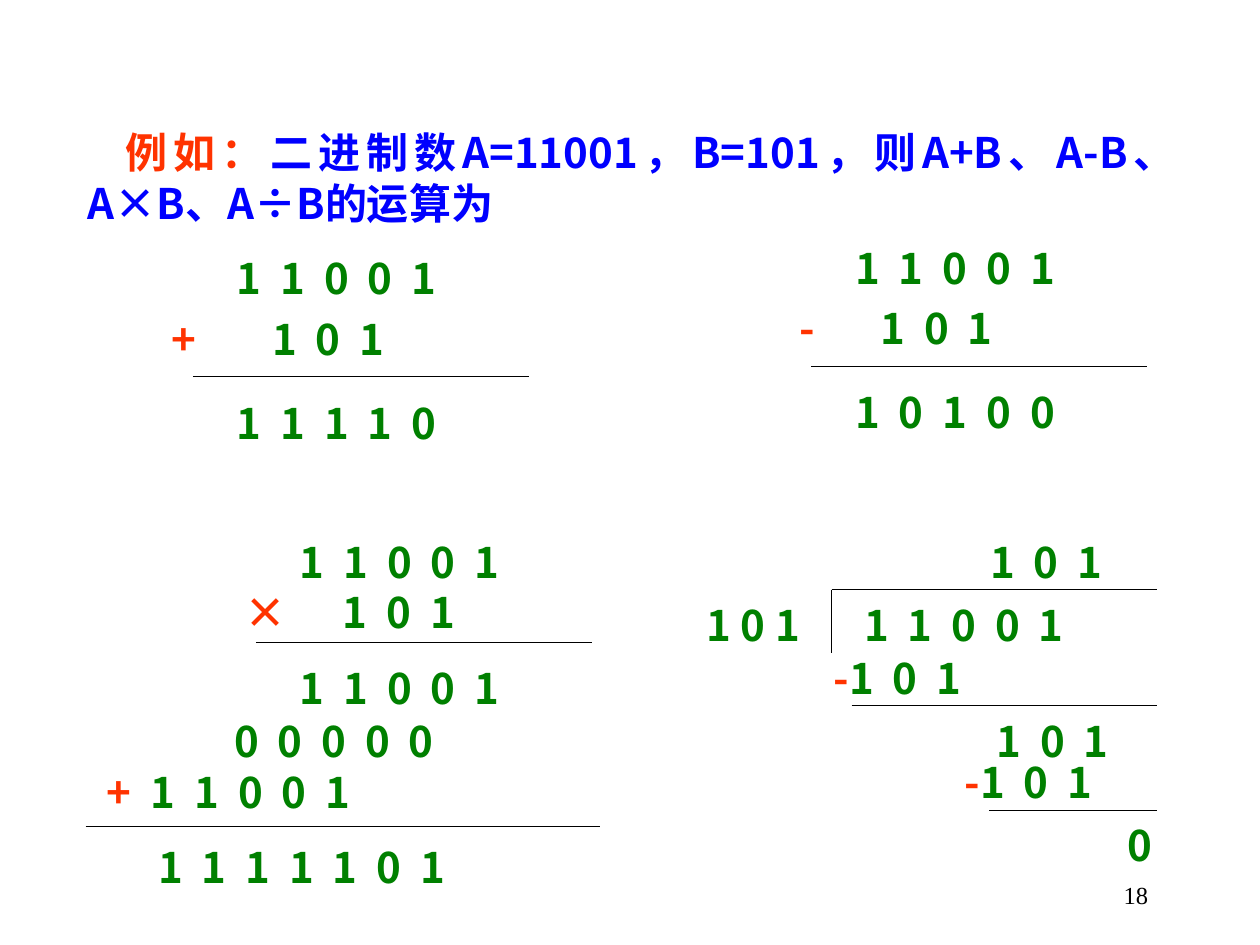
from lxml import etree
from pptx import Presentation
from pptx import util as u
from pptx.dml import color
from pptx.enum import shapes, text
from pptx.oxml import ns

SANS, SERIF = "Noto Sans CJK SC", "Times New Roman"
RED, BLUE, GREEN, BLACK = "FF3300", "0000FF", "008000", "000000"


def paint(code):
    """Turn a hex string into a colour."""
    return color.RGBColor.from_string(code)


class Page:
    """Holds the style and the current slide."""

    size, row, wide = 24, 28.8, 2.7

    def __init__(self, deck):
        """Add a blank slide to the deck."""
        self.slide = deck.slides.add_slide(deck.slide_layouts[6])
        self.home = self.slide.shapes

    def group(self):
        """Send the next elements into a new group."""
        self.home = self.slide.shapes.add_group_shape().shapes

    def box(self, x, y, w, h, pad=7.2):
        """Add a wrapping text box and return its frame."""
        frame = self.home.add_textbox(*map(u.Pt, (x, y, w, h))).text_frame
        frame.word_wrap = True
        frame.margin_left, frame.margin_right = u.Pt(pad), u.Pt(7.2)
        frame.margin_top, frame.margin_bottom = u.Pt(5.4), u.Pt(1.8)
        return frame

    def run(self, para, words, code, gap=0, font=SANS, size=size, bold=True):
        """Add one styled run."""
        run = para.add_run()
        run.text = words
        run.font.name, run.font.size, run.font.bold = font, u.Pt(size), bold
        run.font.color.rgb = paint(code)
        props = run.font._element
        if gap:
            props.set("spc", str(round(gap * 100)))
        etree.SubElement(props, ns.qn("a:ea")).set("typeface", font)

    def para(self, frame):
        """Style the first paragraph of a frame."""
        para = frame.paragraphs[0]
        para.alignment = text.PP_ALIGN.JUSTIFY
        para.line_spacing = u.Pt(self.row)
        return para

    def title(self, x, y, w, h, indent, parts):
        """Add the heading with a first-line indent."""
        para = self.para(self.box(x, y, w, h))
        para._p.get_or_add_pPr().set("indent", str(u.Pt(indent)))
        for words, code in parts:
            self.run(para, words, code)

    def digits(self, x, y, w, number, sign="", pad=7.2, tab=0, gap=wide):
        """Add a spaced number, with a sign before it if given."""
        para = self.para(self.box(x, y, w, 36, pad))
        if tab:
            stops = etree.SubElement(para._p.get_or_add_pPr(), ns.qn("a:tabLst"))
            stop = etree.SubElement(stops, ns.qn("a:tab"))
            stop.set("pos", str(u.Pt(tab)))
            stop.set("algn", "l")
        if sign:
            self.run(para, sign + ("\t" if tab else ""), RED)
        self.run(para, " ".join(number), GREEN, gap)

    def line(self, x, y, w, h=0):
        """Add a thin black rule."""
        ends = map(u.Pt, (x, y, x + w, y + h))
        rule = self.home.add_connector(shapes.MSO_CONNECTOR.STRAIGHT, *ends)
        rule.line.color.rgb = paint(BLACK)
        rule.line.width = u.Pt(0.75)
        etree.SubElement(rule._element.spPr, ns.qn("a:effectLst"))

    def sum(self, x, y, rise, second, result, sign, pad, tab):
        """Add 11001, a signed 101, a rule and the result."""
        self.group()
        self.line(x, y, 192)
        self.digits(x + 18, y - rise, 180, "11001")
        self.digits(x - 19.2, y - second, 220, "101", sign, pad, tab)
        self.digits(x + 18, y + 6.2, 180, result)

    def number(self, x, y, w, h, words):
        """Add the page number."""
        frame = self.box(x, y, w, h)
        frame.margin_top = frame.margin_bottom = u.Pt(3.6)
        frame.margin_right = u.Pt(10.7)
        frame.vertical_anchor = text.MSO_ANCHOR.MIDDLE
        para = frame.paragraphs[0]
        para.alignment = text.PP_ALIGN.RIGHT
        self.run(para, words, BLACK, font=SERIF, size=14, bold=False)


deck = Presentation()
deck.slide_width, deck.slide_height = u.Pt(720), u.Pt(540)
page = Page(deck)
page.number(517, 493.2, 149.8, 36, "18")
page.title(43.2, 67, 635.8, 64.8, 21.6, [
    ("例如:".replace(":", "："), RED),
    ("二进制数A=11001，B=101，则A+B、A-B、A×B、A÷B的运算为", BLUE),
])

page.sum(110.2, 215.3, 76.3, 41.8, "11110", "+", 7.2, 57.4)
page.sum(463.7, 209.5, 76.3, 41.8, "10100", "-", 12.6, 46)
page.sum(146.2, 367.2, 66.2, 37.4, "11001", "×", 12.6, 56.3)
page.digits(126.7, 403.2, 180, "00000")
page.digits(54, 432.7, 221.8, "11001", "+", tab=25)
page.digits(77.8, 475.2, 277.2, "1111101", pad=12.6)
page.line(49, 472.3, 293.8)

page.group()
right = 661
for x, y in ((475.2, 337), (486.7, 403.2), (565.2, 463)):
    page.line(x, y, right - x)
page.line(475.2, 337, 0, 36)
page.digits(396.7, 337, 77.8, "101", gap=0)
for x, y, w, number in (
    (486.7, 337, 180, "11001"),
    (558.7, 301, 108, "101"),
    (562.3, 403.2, 108, "101"),
    (637.2, 463, 30.2, "0"),
):
    page.digits(x, y, w, number)
for x, y in ((463.7, 367.2), (538.6, 427)):
    page.digits(x, y, 138.2, "101", "-", 12.6)

deck.save("out.pptx")
